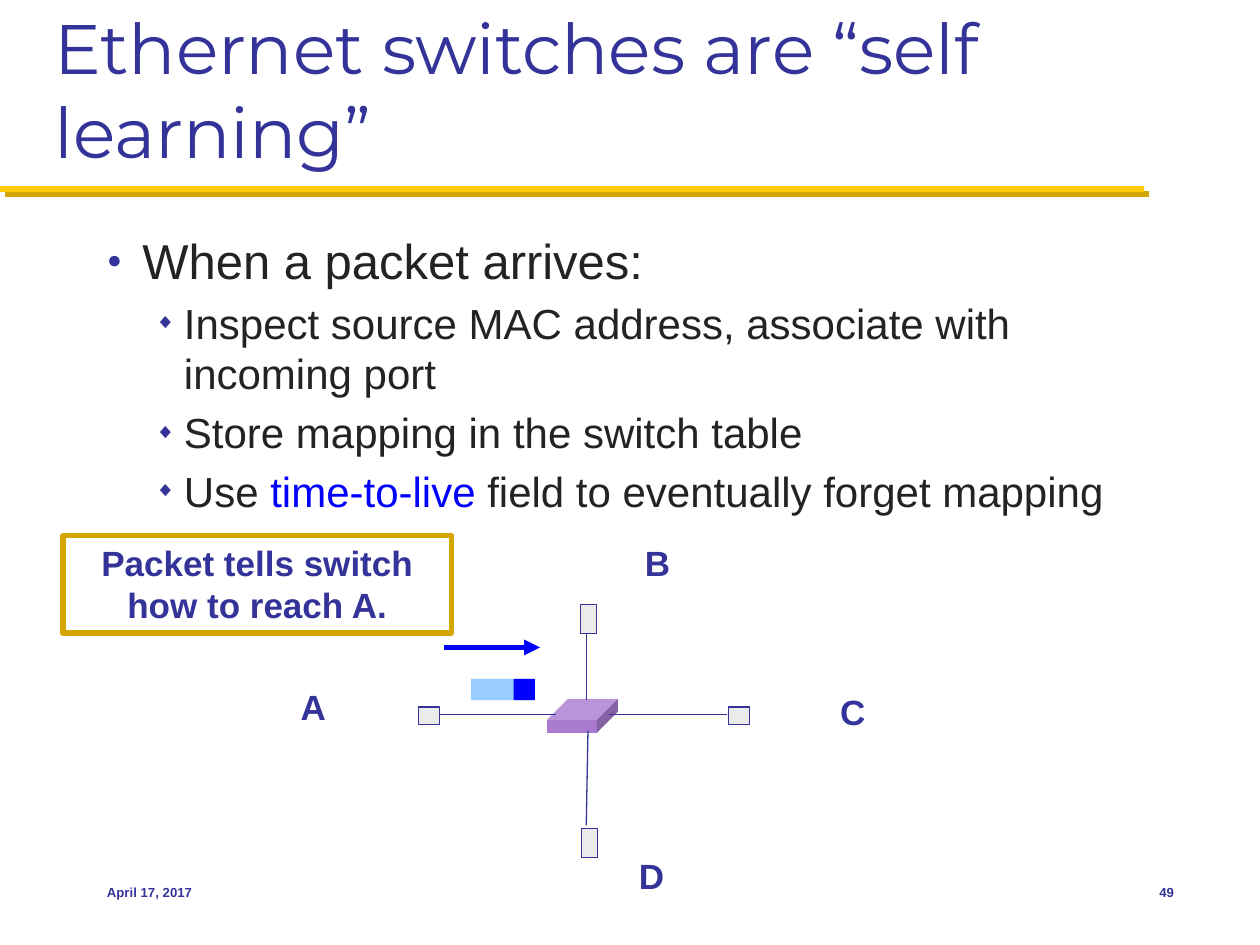
from dataclasses import dataclass

from lxml.etree import SubElement
from pptx import Presentation
from pptx.dml.color import RGBColor
from pptx.enum.shapes import MSO_CONNECTOR, MSO_SHAPE
from pptx.enum.text import MSO_ANCHOR, MSO_AUTO_SIZE, PP_ALIGN
from pptx.oxml.ns import qn
from pptx.util import Pt

COLORS = {
    "navy": "333399", "text": "232323", "blue": "0000FF", "sky": "99CCFF",
    "gold": "D3A600", "yellow": "FFCB05", "gray": "EBEBEB", "purple": "A97AD0",
}


@dataclass
class Box:
    left: float
    top: float
    width: float
    height: float

    def lengths(self) -> tuple:
        return Pt(self.left), Pt(self.top), Pt(self.width), Pt(self.height)


@dataclass
class Label:
    text: str
    box: Box
    size: float = 20
    align: PP_ALIGN = PP_ALIGN.CENTER
    anchor: MSO_ANCHOR = MSO_ANCHOR.TOP


@dataclass
class Line:
    start: tuple
    end: tuple
    color: str = "navy"
    width: float = 0.75
    arrow: bool = False


@dataclass
class Bullet:
    runs: list
    level: int = 1
    size: float = 24
    margin: float = 43.9
    indent: float = -16.6
    symbol: str = "◆"
    space: float = 4.8


def rgb(color: str) -> RGBColor:
    return RGBColor.from_string(COLORS[color])


def format_run(run, size: float, color: str, name: str = "Arial", bold: bool = False) -> None:
    run.font.size = Pt(size)
    run.font.name = name
    run.font.bold = bold
    run.font.color.rgb = rgb(color)


def place(shape, box: Box, anchor: MSO_ANCHOR) -> None:
    shape.left, shape.top, shape.width, shape.height = box.lengths()
    shape.text_frame.auto_size = MSO_AUTO_SIZE.NONE
    shape.text_frame.word_wrap = True
    shape.text_frame.vertical_anchor = anchor


def add_block(slide, box: Box, fill: str, outline: str = "", preset=MSO_SHAPE.RECTANGLE):
    shape = slide.shapes.add_shape(preset, *box.lengths())
    shape.shadow.inherit = False
    shape.fill.solid()
    shape.fill.fore_color.rgb = rgb(fill)
    if outline:
        shape.line.color.rgb = rgb(outline)
        shape.line.width = Pt(0.75)
    else:
        shape.line.fill.background()
    return shape


def add_label(slide, label: Label):
    shape = slide.shapes.add_textbox(*label.box.lengths())
    place(shape, label.box, label.anchor)
    shape.text_frame.text = label.text
    paragraph = shape.text_frame.paragraphs[0]
    paragraph.alignment = label.align
    format_run(paragraph.runs[0], label.size, "navy", bold=True)
    return shape


def add_line(slide, line: Line) -> None:
    points = [Pt(value) for value in (*line.start, *line.end)]
    connector = slide.shapes.add_connector(MSO_CONNECTOR.STRAIGHT, *points)
    connector.line.color.rgb = rgb(line.color)
    connector.line.width = Pt(line.width)
    if line.arrow:
        SubElement(connector.line._get_or_add_ln(), qn("a:tailEnd"), type="triangle")
    SubElement(connector._element.spPr, qn("a:effectLst"))


def fill_bullet(paragraph, bullet: Bullet) -> None:
    paragraph.level = bullet.level
    paragraph.space_before = Pt(bullet.space)
    properties = paragraph._p.get_or_add_pPr()
    properties.set("marL", str(Pt(bullet.margin)))
    properties.set("indent", str(Pt(bullet.indent)))
    bullet_color = SubElement(properties, qn("a:buClr"))
    SubElement(bullet_color, qn("a:srgbClr"), val=COLORS["navy"])
    SubElement(properties, qn("a:buSzPct"), val="50000")
    SubElement(properties, qn("a:buFont"), typeface="Arial")
    SubElement(properties, qn("a:buChar"), char=bullet.symbol)
    for text, color in bullet.runs:
        run = paragraph.add_run()
        run.text = text
        format_run(run, bullet.size, color)


def add_title(slide, text: str) -> None:
    title = slide.shapes.title
    place(title, Box(24, 12, 672, 90), MSO_ANCHOR.BOTTOM)
    title.text_frame.text = text
    paragraph = title.text_frame.paragraphs[0]
    paragraph.alignment = PP_ALIGN.LEFT
    format_run(paragraph.runs[0], 40, "navy", "Montserrat")


def add_body(slide, bullets: list) -> None:
    body = slide.placeholders[1]
    place(body, Box(54, 128, 624, 346), MSO_ANCHOR.TOP)
    frame = body.text_frame
    for index, bullet in enumerate(bullets):
        paragraph = frame.add_paragraph() if index else frame.paragraphs[0]
        fill_bullet(paragraph, bullet)


def add_network(slide) -> None:
    hosts = [Box(239, 404, 12.2, 10), Box(416.2, 404, 12.2, 10),
             Box(331.5, 345.6, 9.2, 16.4), Box(332.2, 473.6, 9.2, 16.4)]
    for host in hosts:
        add_block(slide, host, "gray", "navy")
    switch = add_block(slide, Box(312.5, 399.4, 40.6, 19.5), "purple", preset=MSO_SHAPE.CUBE)
    switch.adjustments[0] = 0.62
    links = [Line((251.3, 408.2), (317.5, 408.2)), Line((335, 362), (335, 400)),
             Line((415.4, 408.2), (347.8, 408.2)), Line((335, 471.6), (336, 417.6))]
    for link in links:
        add_line(slide, link)
    for text, left, top in [("A", 164.7, 388), ("B", 361.3, 306),
                            ("C", 473, 391), ("D", 358, 484.7)]:
        add_label(slide, Label(text, Box(left, top, 28.8, 31)))
    add_block(slide, Box(269.3, 388, 36, 12.2), "sky")
    add_block(slide, Box(293.5, 388, 12.2, 12.2), "blue")


def main() -> None:
    presentation = Presentation()
    presentation.slide_width, presentation.slide_height = Pt(720), Pt(540)
    slide = presentation.slides.add_slide(presentation.slide_layouts[1])

    for color, offset in [("gold", 3), ("yellow", 0)]:
        add_line(slide, Line((offset, 108 + offset), (653.8 + offset, 108 + offset), color, 3.5))
    add_title(slide, "Ethernet switches are “self learning”")
    add_body(slide, [
        Bullet([("When a packet arrives:", "text")], 0, 28, 20.2, -20.2, "●", 0),
        Bullet([("Inspect source MAC address, associate with incoming port", "text")]),
        Bullet([("Store mapping in the switch table", "text")]),
        Bullet([("Use ", "text"), ("time-to-live", "blue"),
                (" field to eventually forget mapping", "text")]),
    ])
    add_network(slide)

    callout = add_label(slide, Label("Packet tells switch how to reach A.", Box(36, 306, 222, 55.7)))
    callout.line.color.rgb = rgb("gold")
    callout.line.width = Pt(3)
    add_line(slide, Line((254, 370), (308.6, 370), "blue", 3, True))

    middle = MSO_ANCHOR.MIDDLE
    add_label(slide, Label("April 17, 2017", Box(54, 492, 150, 36), 7.5, PP_ALIGN.LEFT, middle))
    add_label(slide, Label("49", Box(630, 492, 48, 36), 7.5, PP_ALIGN.RIGHT, middle))
    presentation.save("out.pptx")


if __name__ == "__main__":
    main()
